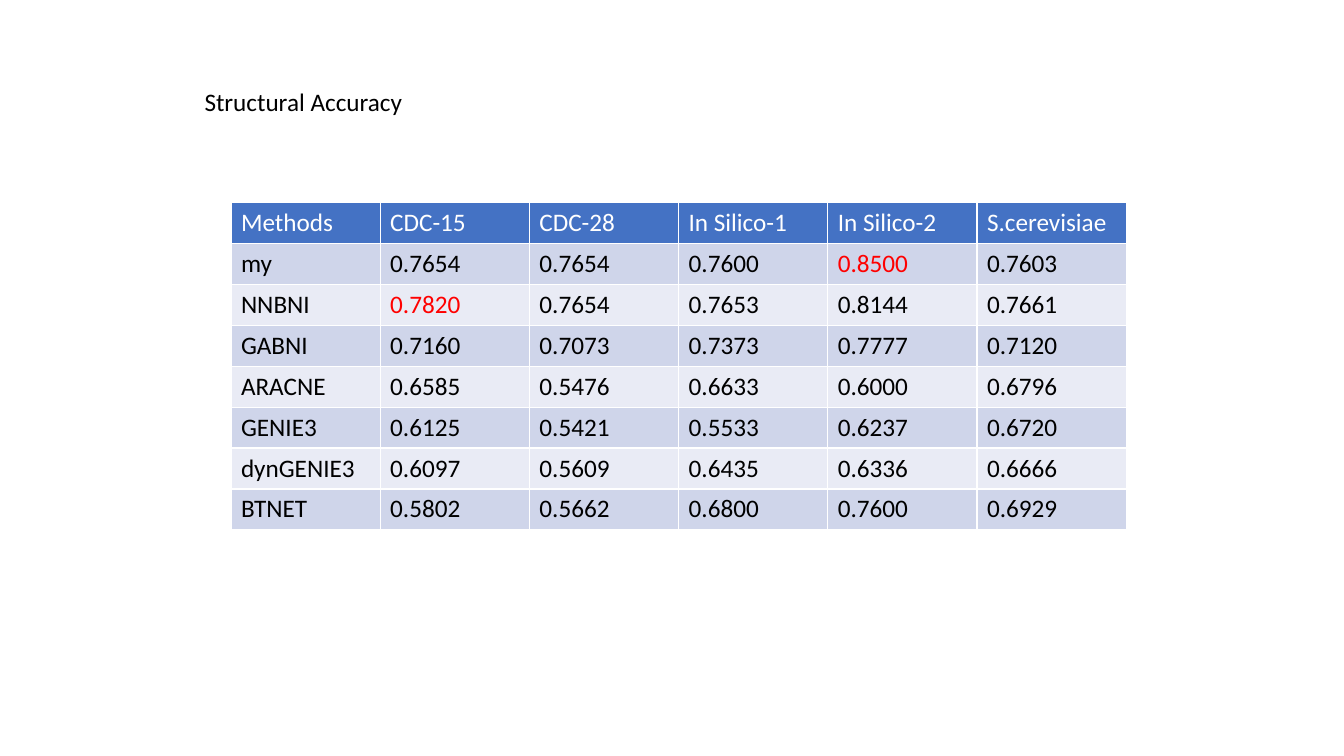
import pptx
import pptx.util
import pptx.dml.color
import pptx.enum.text

Cm, Pt = pptx.util.Cm, pptx.util.Pt
RGB = pptx.dml.color.RGBColor

# Content
TITLE = "Structural Accuracy"
ROWS = [
    ("Methods", "CDC-15", "CDC-28", "In Silico-1", "In Silico-2", "S.cerevisiae"),
    ("my", "0.7654", "0.7654", "0.7600", "0.8500", "0.7603"),
    ("NNBNI", "0.7820", "0.7654", "0.7653", "0.8144", "0.7661"),
    ("GABNI", "0.7160", "0.7073", "0.7373", "0.7777", "0.7120"),
    ("ARACNE", "0.6585", "0.5476", "0.6633", "0.6000", "0.6796"),
    ("GENIE3", "0.6125", "0.5421", "0.5533", "0.6237", "0.6720"),
    ("dynGENIE3", "0.6097", "0.5609", "0.6435", "0.6336", "0.6666"),
    ("BTNET", "0.5802", "0.5662", "0.6800", "0.7600", "0.6929"),
]
BEST = {(1, 4), (2, 1)}  # row and column of the marked scores

# Style
FONT, SIZE = "Calibri", Pt(18)
WHITE, BLACK, RED = RGB(255, 255, 255), RGB(0, 0, 0), RGB(255, 0, 0)
HEAD = RGB(0x44, 0x72, 0xC4)
BANDS = RGB(0xE9, 0xEB, 0xF5), RGB(0xCF, 0xD5, 0xEA)
WIDE, HIGH = Cm(3.76), Cm(1.03)


def style(par, color):
    par.font.name, par.font.size, par.font.bold = FONT, SIZE, False
    par.font.color.rgb = color


deck = pptx.Presentation()
deck.slide_width, deck.slide_height = Cm(33.87), Cm(19.05)
slide = deck.slides.add_slide(deck.slide_layouts[5])

# Title
title = slide.shapes.title
title.left, title.top, title.width, title.height = Cm(4.9), Cm(2.06), Cm(5.54), Cm(1.03)
frame = title.text_frame
frame.text = TITLE
frame.word_wrap = False
frame.auto_size = pptx.enum.text.MSO_AUTO_SIZE.SHAPE_TO_FIT_TEXT
frame.vertical_anchor = pptx.enum.text.MSO_ANCHOR.TOP
frame.paragraphs[0].alignment = pptx.enum.text.PP_ALIGN.LEFT
style(frame.paragraphs[0], BLACK)

# Table of scores
count, span = len(ROWS), len(ROWS[0])
table = slide.shapes.add_table(
    count, span, Cm(5.82), Cm(5.11), WIDE * span, HIGH * count).table
for col in table.columns:
    col.width = WIDE
for r, row in enumerate(ROWS):
    table.rows[r].height = HIGH
    for c, text in enumerate(row):
        cell = table.cell(r, c)
        cell.text = text
        cell.fill.solid()
        cell.fill.fore_color.rgb = BANDS[r % 2] if r else HEAD
        ink = RED if (r, c) in BEST else BLACK if r else WHITE
        style(cell.text_frame.paragraphs[0], ink)

deck.save("out.pptx")
